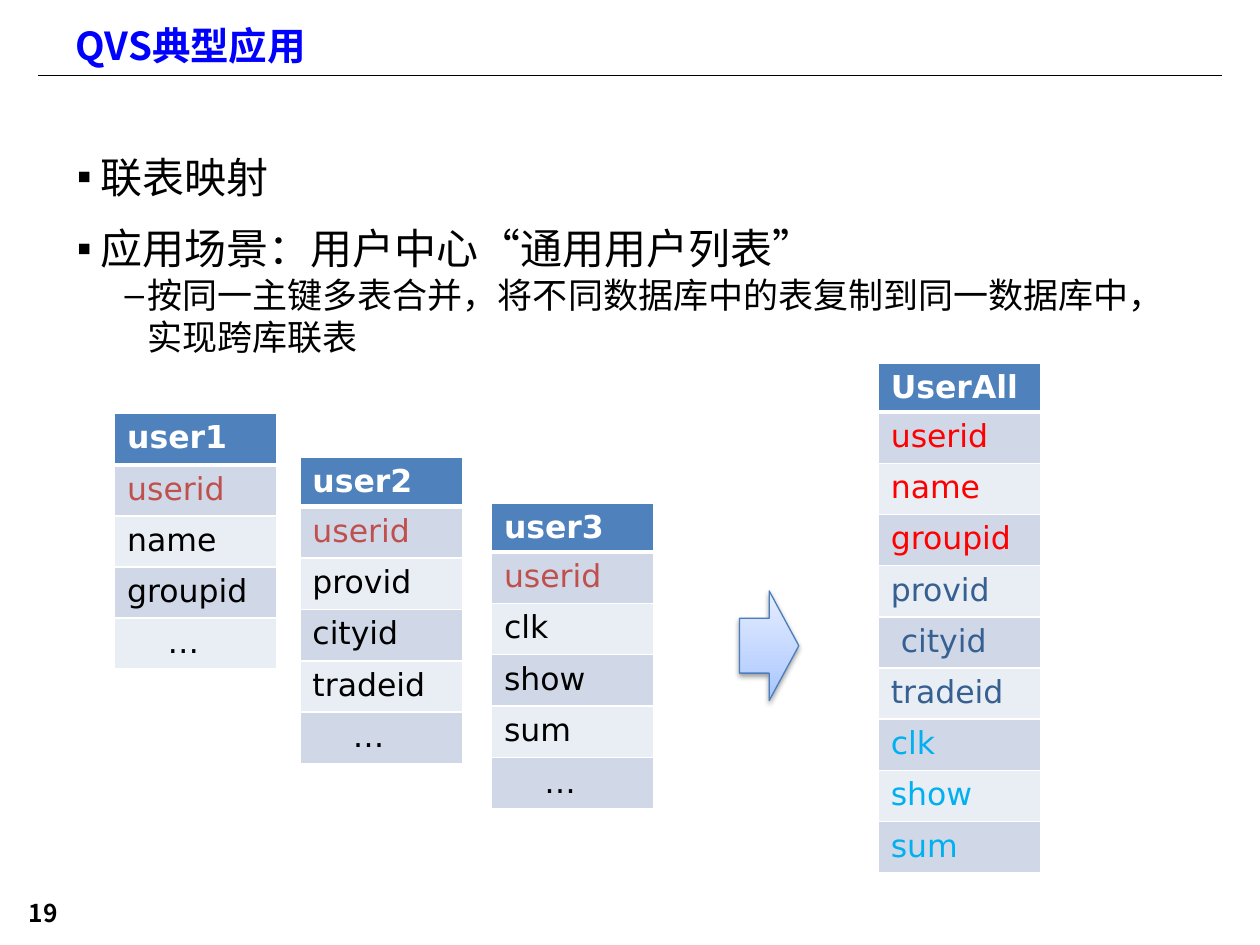
import dataclasses

import pptx
import pptx.dml.color
import pptx.enum.shapes
import pptx.enum.text
import pptx.oxml
import pptx.oxml.ns
import pptx.util
from pptx.util import Inches

NAMESPACE = pptx.oxml.ns.nsdecls("a")


@dataclasses.dataclass(frozen=True)
class Theme:
    cjk_font: str = "Noto Sans CJK SC"
    table_font: str = "DejaVu Sans"
    black: str = "000000"
    white: str = "FFFFFF"
    title: str = "0000FF"
    header: str = "4F81BD"
    bands: tuple = ("D0D8E8", "E9EDF4")
    key: str = "C0504D"
    first_source: str = "FF0000"
    second_source: str = "376092"
    third_source: str = "00B0F0"
    arrow_line: str = "4B7EBC"
    arrow_stops: tuple = ((0, "A4C4FF"), (35, "BFD4FF"), (100, "E6EEFF"))
    title_size: int = 22
    body_sizes: tuple = (24, 20)
    table_size: int = 18
    number_size: int = 14


def rgb(color):
    return pptx.dml.color.RGBColor.from_string(color)


def append_xml(parent, xml):
    """Append an element whose root tag carries the %s namespace slot."""
    parent.append(pptx.oxml.parse_xml(xml % NAMESPACE))


class SlideBuilder:
    def __init__(self, slide, theme):
        self.slide = slide
        self.theme = theme

    def format_runs(self, paragraph, size, color, font, bold=False):
        for run in paragraph.runs:
            run.font.size = pptx.util.Pt(size)
            run.font.bold = bold
            run.font.name = font
            run.font.color.rgb = rgb(color)
            append_xml(run.font._element, f'<a:ea %s typeface="{font}"/>')

    def place(self, shape, left, top, width, height):
        shape.left, shape.top = Inches(left), Inches(top)
        shape.width, shape.height = Inches(width), Inches(height)
        frame = shape.text_frame
        frame.word_wrap = True
        frame.auto_size = pptx.enum.text.MSO_AUTO_SIZE.NONE
        frame.vertical_anchor = pptx.enum.text.MSO_ANCHOR.TOP
        return frame

    def title(self, text, *box):
        frame = self.place(self.slide.shapes.title, *box)
        frame.text = text
        paragraph = frame.paragraphs[0]
        paragraph.alignment = pptx.enum.text.PP_ALIGN.LEFT
        paragraph.line_spacing = 0.9
        self.format_runs(paragraph, self.theme.title_size, self.theme.title,
                         self.theme.cjk_font, True)

    def bullets(self, items, *box):
        """Fill the body placeholder with (level, text) items."""
        frame = self.place(self.slide.placeholders[1], *box)
        styles = (("▪", 0.19, 0.19, 12), ("–", 0.56, 0.18, 0))
        for index, (level, text) in enumerate(items):
            paragraph = frame.add_paragraph() if index else frame.paragraphs[0]
            mark, margin, hanging, space = styles[level]
            paragraph.text = text
            paragraph.level = level
            paragraph.line_spacing = 1.0
            paragraph.space_before = pptx.util.Pt(space)
            properties = paragraph._p.get_or_add_pPr()
            properties.set("marL", str(Inches(margin)))
            properties.set("indent", str(-Inches(hanging)))
            append_xml(properties, '<a:buClr %s><a:srgbClr val="'
                       + self.theme.black + '"/></a:buClr>')
            append_xml(properties, f'<a:buChar %s char="{mark}"/>')
            self.format_runs(paragraph, self.theme.body_sizes[level],
                             self.theme.black, self.theme.cjk_font)

    def slide_number(self, text, *box):
        shape = self.slide.shapes.add_textbox(0, 0, 0, 0)
        frame = self.place(shape, *box)
        frame.margin_left, frame.margin_top = Inches(0.16), Inches(0.07)
        frame.text = text
        frame.paragraphs[0].line_spacing = 0.9
        self.format_runs(frame.paragraphs[0], self.theme.number_size,
                         self.theme.black, self.theme.cjk_font, True)

    def rule(self, left, right, top):
        connector = self.slide.shapes.add_connector(
            pptx.enum.shapes.MSO_CONNECTOR.STRAIGHT,
            Inches(left), Inches(top), Inches(right), Inches(top))
        connector.line.color.rgb = rgb(self.theme.black)
        connector.line.width = pptx.util.Pt(0.75)
        append_xml(connector._element.spPr, "<a:effectLst %s/>")

    def cell(self, cell, row, text, color):
        properties = cell._tc.get_or_add_tcPr()
        widths = {"L": 1, "R": 1, "T": 3 if row == 1 else 1,
                  "B": 3 if row == 0 else 1}
        for side, width in widths.items():
            append_xml(properties, f'<a:ln{side} %s w="{pptx.util.Pt(width)}">'
                       f'<a:solidFill><a:srgbClr val="{self.theme.white}"/>'
                       f'</a:solidFill></a:ln{side}>')
        fill = self.theme.bands[(row - 1) % 2] if row else self.theme.header
        cell.fill.solid()
        cell.fill.fore_color.rgb = rgb(fill)
        if text == "…":
            cell.margin_left = Inches(0.42)
        cell.text_frame.text = text
        self.format_runs(cell.text_frame.paragraphs[0], self.theme.table_size,
                         color, self.theme.table_font, row == 0)

    def field_table(self, name, fields, left, top, height, header=0.37):
        """Draw a one-column table from (text, color) fields."""
        rows = [(name, self.theme.white), *fields]
        table = self.slide.shapes.add_table(
            len(rows), 1, Inches(left), Inches(top),
            Inches(1.29), Inches(height)).table
        field_height = Inches((height - header) / len(fields))
        for row, (text, color) in enumerate(rows):
            table.rows[row].height = field_height if row else Inches(header)
            self.cell(table.cell(row, 0), row, text, color)

    def arrow(self, left, top, width, height):
        shape = self.slide.shapes.add_shape(
            pptx.enum.shapes.MSO_SHAPE.RIGHT_ARROW,
            Inches(left), Inches(top), Inches(width), Inches(height))
        properties = shape._element.spPr
        stops = "".join(
            f'<a:gs pos="{position * 1000}"><a:srgbClr val="{color}"/></a:gs>'
            for position, color in self.theme.arrow_stops)
        append_xml(properties, f"<a:gradFill %s><a:gsLst>{stops}</a:gsLst>"
                   '<a:lin ang="16200000" scaled="0"/></a:gradFill>')
        shape.line.color.rgb = rgb(self.theme.arrow_line)
        shape.line.width = pptx.util.Pt(0.75)
        append_xml(properties, "<a:effectLst %s>"
                   f'<a:outerShdw blurRad="{pptx.util.Pt(3.1)}"'
                   f' dist="{pptx.util.Pt(1.6)}" dir="5400000">'
                   f'<a:srgbClr val="{self.theme.black}">'
                   '<a:alpha val="38000"/></a:srgbClr>'
                   "</a:outerShdw></a:effectLst>")


def main():
    presentation = pptx.Presentation()
    presentation.slide_width = Inches(10)
    presentation.slide_height = Inches(7.5)
    theme = Theme()
    slide = presentation.slides.add_slide(presentation.slide_layouts[1])
    builder = SlideBuilder(slide, theme)

    # Frame and text
    builder.rule(0.3, 9.7, 0.6)
    builder.slide_number("19", 0.07, 7.08, 1.33, 0.35)
    builder.title("QVS典型应用", 0.5, 0.17, 9, 1.03)
    builder.bullets([
        (0, "联表映射"),
        (0, "应用场景：用户中心“通用用户列表”"),
        (1, "按同一主键多表合并，将不同数据库中的表复制到同一数据库中，\v实现跨库联表"),
    ], 0.51, 1.15, 8.92, 5.33)

    # Source tables, each keyed by userid
    sources = (
        ("user1", ("name", "groupid", "…"), 0.91, 3.28, 2.03, 0.41),
        ("user2", ("provid", "cityid", "tradeid", "…"), 2.38, 3.63, 2.41, 0.37),
        ("user3", ("clk", "show", "sum", "…"), 3.9, 3.99, 2.41, 0.37),
    )
    for name, fields, *position in sources:
        colored = [(field, theme.black) for field in fields]
        builder.field_table(name, [("userid", theme.key), *colored], *position)

    # Merged table, colored by source
    groups = (
        (theme.first_source, ("userid", "name", "groupid")),
        (theme.second_source, ("provid", " cityid", "tradeid")),
        (theme.third_source, ("clk", "show", "sum")),
    )
    merged = [(field, color) for color, fields in groups for field in fields]
    builder.field_table("UserAll", merged, 6.97, 2.88, 4.03)
    builder.arrow(5.87, 4.69, 0.47, 0.87)

    presentation.save("out.pptx")


if __name__ == "__main__":
    main()
